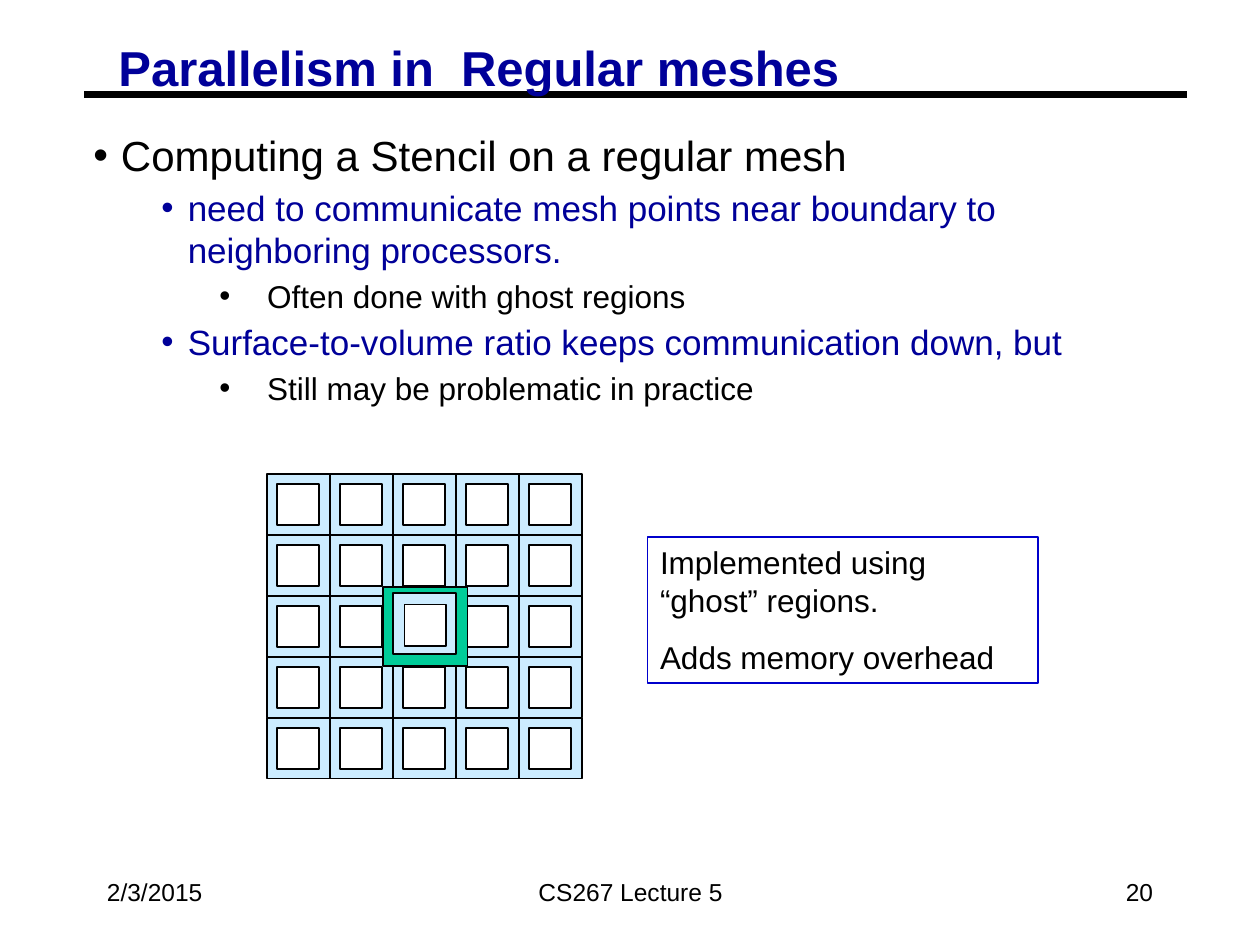
import dataclasses

import lxml.etree
import pptx
import pptx.dml.color
import pptx.enum.shapes
import pptx.enum.text
import pptx.oxml.ns
import pptx.util

Inches = pptx.util.Inches
Pt = pptx.util.Pt
ALIGN = pptx.enum.text.PP_ALIGN
ANCHOR = pptx.enum.text.MSO_ANCHOR
AUTO_SIZE = pptx.enum.text.MSO_AUTO_SIZE
qn = pptx.oxml.ns.qn


@dataclasses.dataclass(frozen=True)
class Theme:
    font: str = "Arial"
    ink: str = "000000"
    navy: str = "000099"
    frame: str = "0000CC"
    cell: str = "CCECFF"
    ghost: str = "00CC99"
    paper: str = "FFFFFF"
    title_size: float = 28
    level_sizes: tuple = (24, 20, 18)
    note_size: float = 18
    footer_size: float = 14


THEME = Theme()

# Per list level: colour, left margin, bullet hang, space before
LEVELS = (
    (THEME.ink, 0.22, 0.22, 0),
    (THEME.navy, 0.75, 0.21, 3.7),
    (THEME.ink, 1.38, 0.38, 3.4),
)

POINTS = (
    (0, "Computing a Stencil on a regular mesh"),
    (1, "need to communicate mesh points near boundary to neighboring processors."),
    (2, "Often done with ghost regions"),
    (1, "Surface-to-volume ratio keeps communication down, but"),
    (2, "Still may be problematic in practice"),
)


def rgb(value):
    return pptx.dml.color.RGBColor.from_string(value)


def set_all(target, values):
    for name, value in values.items():
        setattr(target, name, value)


def place(shape, box):
    names = ("left", "top", "width", "height")
    set_all(shape, {name: Inches(value) for name, value in zip(names, box)})


def format_frame(frame, margins, **values):
    across, down = (Inches(margin) for margin in margins)
    set_all(frame, {"margin_left": across, "margin_right": across,
                    "margin_top": down, "margin_bottom": down,
                    "word_wrap": True, **values})


def write(para, text, size, color, bold=False, **layout):
    set_all(para, layout)
    span = para.add_run()
    span.text = text
    set_all(span.font, {"name": THEME.font, "size": Pt(size), "bold": bold})
    span.font.color.rgb = rgb(color)


def add_bullet(para, color, margin, hang):
    props = para._p.get_or_add_pPr()
    props.set("marL", str(Inches(margin)))
    props.set("indent", str(-Inches(hang)))
    bullet_color = lxml.etree.SubElement(props, qn("a:buClr"))
    lxml.etree.SubElement(bullet_color, qn("a:srgbClr"), val=color)
    lxml.etree.SubElement(props, qn("a:buFont"), typeface=THEME.font)
    lxml.etree.SubElement(props, qn("a:buChar"), char="•")


def add_rectangle(shapes, box, fill, line):
    shape = shapes.add_shape(pptx.enum.shapes.MSO_SHAPE.RECTANGLE,
                             *(Inches(value) for value in box))
    shape.shadow.inherit = False
    if fill:
        shape.fill.solid()
        shape.fill.fore_color.rgb = rgb(fill)
    else:
        shape.fill.background()
    shape.line.color.rgb = rgb(line)
    shape.line.width = Pt(1)
    return shape


def add_rule(page, left, top, width):
    rule = page.shapes.add_connector(
        pptx.enum.shapes.MSO_CONNECTOR.STRAIGHT,
        Inches(left), Inches(top), Inches(left + width), Inches(top))
    rule.line.color.rgb = rgb(THEME.ink)
    rule.line.width = Pt(3.75)
    lxml.etree.SubElement(rule._element.spPr, qn("a:effectLst"))
    # The rule lies behind the title
    page.shapes._spTree.insert(2, rule._element)


def fill_title(page, box):
    title = page.shapes.title
    place(title, box)
    format_frame(title.text_frame, (0.07, 0.03), vertical_anchor=ANCHOR.TOP,
                 auto_size=AUTO_SIZE.NONE)
    write(title.text_frame.paragraphs[0], "Parallelism in  Regular meshes",
          THEME.title_size, THEME.navy, bold=True,
          alignment=ALIGN.LEFT, line_spacing=0.87)


def fill_body(page, box):
    body = page.placeholders[1]
    place(body, box)
    frame = body.text_frame
    format_frame(frame, (0.07, 0.03), vertical_anchor=ANCHOR.TOP,
                 auto_size=AUTO_SIZE.NONE)
    for index, (level, text) in enumerate(POINTS):
        para = frame.add_paragraph() if index else frame.paragraphs[0]
        color, margin, hang, before = LEVELS[level]
        set_all(para, {"level": level, "space_before": Pt(before)})
        add_bullet(para, color, margin, hang)
        write(para, text, THEME.level_sizes[level], color)


def add_mesh_cell(shapes, box, inset):
    left, top = box[:2]
    add_rectangle(shapes, box, THEME.cell, THEME.ink)
    add_rectangle(shapes, (left + inset, top + inset, 0.33, 0.33),
                  THEME.paper, THEME.ink)


def add_mesh(page, box, count=5):
    left, top, width, height = box
    across, down = width / count, height / count
    middle = count // 2
    mesh = page.shapes.add_group_shape()
    for row in range(count):
        for column in range(count):
            if (row, column) != (middle, middle):
                add_mesh_cell(mesh.shapes, (left + column * across,
                                            top + row * down, across, down), 0.08)

    # Middle cell with its ghost region
    x, y = left + middle * across, top + middle * down - 0.02
    add_rectangle(page.shapes, (x - 0.08, y - 0.05, 0.67, 0.63),
                  THEME.ghost, THEME.ink)
    add_mesh_cell(page.shapes, (x, y, across, down), 0.09)


def add_note(page, box):
    note = add_rectangle(page.shapes, box, None, THEME.frame)
    frame = note.text_frame
    format_frame(frame, (0.1, 0.05), vertical_anchor=ANCHOR.TOP,
                 auto_size=AUTO_SIZE.SHAPE_TO_FIT_TEXT)
    write(frame.paragraphs[0], "Implemented using “ghost” regions.",
          THEME.note_size, THEME.ink, alignment=ALIGN.LEFT)
    write(frame.add_paragraph(), "Adds memory overhead", THEME.note_size,
          THEME.ink, alignment=ALIGN.LEFT, space_before=Pt(11.2))


def add_footer(page, top, height):
    for left, width, text, alignment in (
            (0.75, 2.08, "2/3/2015", ALIGN.LEFT),
            (3.42, 3.17, "CS267 Lecture 5", ALIGN.CENTER),
            (7.17, 2.08, "20", ALIGN.RIGHT)):
        box = page.shapes.add_textbox(Inches(left), Inches(top),
                                      Inches(width), Inches(height))
        format_frame(box.text_frame, (0.1, 0.05), vertical_anchor=ANCHOR.MIDDLE)
        write(box.text_frame.paragraphs[0], text, THEME.footer_size,
              THEME.ink, alignment=alignment)


def main():
    deck = pptx.Presentation()
    set_all(deck, {"slide_width": Inches(10), "slide_height": Inches(7.5)})
    page = deck.slides.add_slide(deck.slide_layouts[1])
    add_rule(page, 0.67, 0.75, 8.75)
    fill_title(page, (0.87, 0.33, 7.38, 0.46))
    fill_body(page, (0.67, 1, 8.75, 2.25))
    add_mesh(page, (2.12, 3.76, 2.5, 2.42))
    add_note(page, (5.14, 4.26, 3.1, 1.16))
    add_footer(page, 6.83, 0.5)
    deck.save("out.pptx")


if __name__ == "__main__":
    main()
